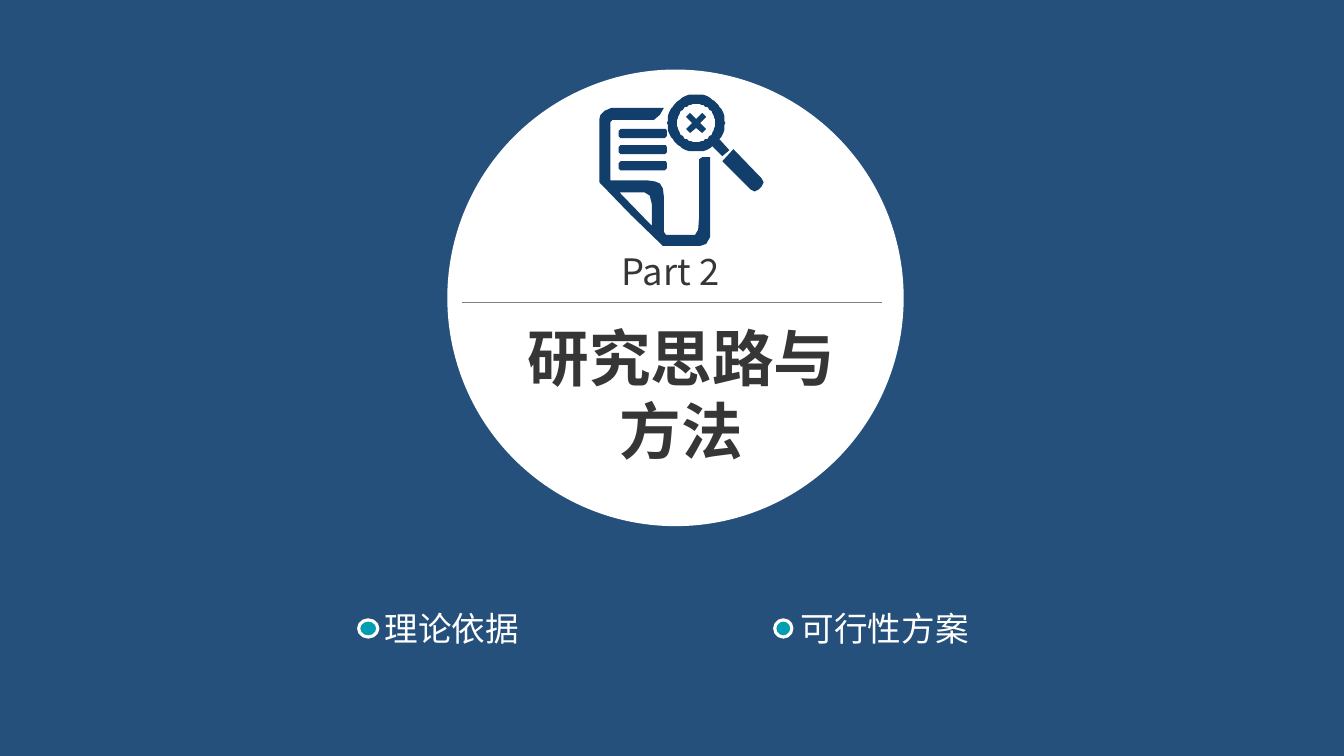
import math

import lxml.etree
import pptx
import pptx.dml.color
import pptx.enum.shapes
import pptx.enum.text
import pptx.oxml.ns
import pptx.util

PX = 9144  # EMU in one px, 100 px to the inch
THEME = {
    "font": "Noto Sans CJK SC",
    "background": "24507B", "white": "FFFFFF", "text": "363636",
    "rule": "808080", "marker": "009EB0", "icon": "113E6A",
    "title_size": 44, "part_size": 26, "topic_size": 24,
}
SHAPE = pptx.enum.shapes.MSO_SHAPE
ALIGN = pptx.enum.text.PP_ALIGN


def color(name):
    return pptx.dml.color.RGBColor.from_string(THEME[name])


def add_text(text, left, top, width, height, size, ink="text", bold=False,
             align=ALIGN.LEFT, inset=(10, 5), wrap=True):
    """Add a text box; inset is the horizontal and vertical margin in px."""
    box = slide.shapes.add_textbox(*(n * PX for n in (left, top, width, height)))
    frame = box.text_frame
    frame.word_wrap = wrap
    frame.margin_left = frame.margin_right = inset[0] * PX
    frame.margin_top = frame.margin_bottom = inset[1] * PX
    para = frame.paragraphs[0]
    para.alignment = align
    span = para.add_run()
    span.text = text
    span.font.name = THEME["font"]
    span.font.size = pptx.util.Pt(THEME[size])
    span.font.bold = bold
    span.font.color.rgb = color(ink)
    east_asian = lxml.etree.SubElement(span.font._element, pptx.oxml.ns.qn("a:ea"))
    east_asian.set("typeface", THEME["font"])


deck = pptx.Presentation()
deck.slide_width, deck.slide_height = 1334 * PX, 750 * PX
slide = deck.slides.add_slide(deck.slide_layouts[6])
slide.background.fill.solid()
slide.background.fill.fore_color.rgb = color("background")

# Central disc with its rule and heading
disc = slide.shapes.add_shape(SHAPE.OVAL, 444 * PX, 69 * PX, 453 * PX, 453 * PX)
disc.shadow.inherit = False
disc.fill.solid()
disc.fill.fore_color.rgb = color("white")
disc.line.fill.background()

rule = slide.shapes.add_connector(
    pptx.enum.shapes.MSO_CONNECTOR.STRAIGHT, 459 * PX, 300 * PX, 875 * PX, 300 * PX)
rule.line.color.rgb = color("rule")
rule.line.width = pptx.util.Pt(1)
lxml.etree.SubElement(rule._element.spPr, pptx.oxml.ns.qn("a:effectLst"))

add_text("研究思路与方法", 503, 312, 347, 157, "title_size", bold=True, align=ALIGN.CENTER)
add_text("Part 2", 617, 247, 100, 43, "part_size", inset=(0, 0), wrap=False)

# Topics, each with a ringed marker
for topic, marker_left, marker_width, text_left, text_width in (
        ("理论依据", 356, 19, 372, 313),
        ("可行性方案", 769, 17, 785, 291)):
    marker = slide.shapes.add_shape(
        SHAPE.OVAL, marker_left * PX, 615 * PX, marker_width * PX, 17 * PX)
    marker.shadow.inherit = False
    marker.fill.solid()
    marker.fill.fore_color.rgb = color("marker")
    marker.line.color.rgb = color("white")
    marker.line.width = pptx.util.Pt(2.25)
    add_text(topic, text_left, 598, text_width, 50, "topic_size", ink="white")

# Icon: a page under a magnifier; inner contours cut holes
lens_x, lens_y = 691, 122


def arc(radius, start, end):
    """Points on a circle round the lens centre, angles in degrees."""
    return [(round(lens_x + radius * math.cos(math.radians(angle)), 2),
             round(lens_y + radius * math.sin(math.radians(angle)), 2))
            for angle in range(start, end + 1, 5)]


page = [(595, 118), (595, 181), (626, 213), (658, 244), (695, 244), (701, 242),
        (705, 235), (705, 156), (697, 156), (694, 158), (694, 215), (693, 228),
        (690, 233), (661, 233), (659, 230), (659, 195), (658, 187), (655, 182),
        (650, 180), (643, 179), (606, 179), (606, 121), (608, 119), (649, 119),
        (655, 114), (659, 107), (607, 107), (600, 110), (596, 114)]
fold = [(647, 224), (647, 202), (645, 194), (640, 191), (615, 191)]
text_lines = [
    [(614, top + 2), (616, top), (661, top), (662, top + 2),
     (662, top + 7), (660, top + 9), (616, top + 9), (614, top + 7)]
    for top in (128, 144, 160)]
lens_and_neck = arc(28.5, 55, 395) + [(724, 149), (717, 155)]
handle = [(728, 148), (756, 177), (758, 181), (756, 185), (753, 188),
          (749, 190), (745, 188), (717, 160)]
cross = [(lens_x + x, lens_y + y) for x, y in (
    (-10, -6), (-6, -10), (0, -4), (6, -10), (10, -6), (4, 0),
    (10, 6), (6, 10), (0, 5), (-6, 10), (-10, 6), (-4, 0))]

contours = [page, fold, *text_lines, lens_and_neck, arc(19, 0, 355), cross, handle]
builder = slide.shapes.build_freeform(*page[0], scale=PX)
for contour in contours:
    builder.move_to(*contour[0])
    builder.add_line_segments(contour[1:], close=True)
icon = builder.convert_to_shape()
icon.shadow.inherit = False
icon.fill.solid()
icon.fill.fore_color.rgb = color("icon")
icon.line.fill.background()

deck.save("out.pptx")
